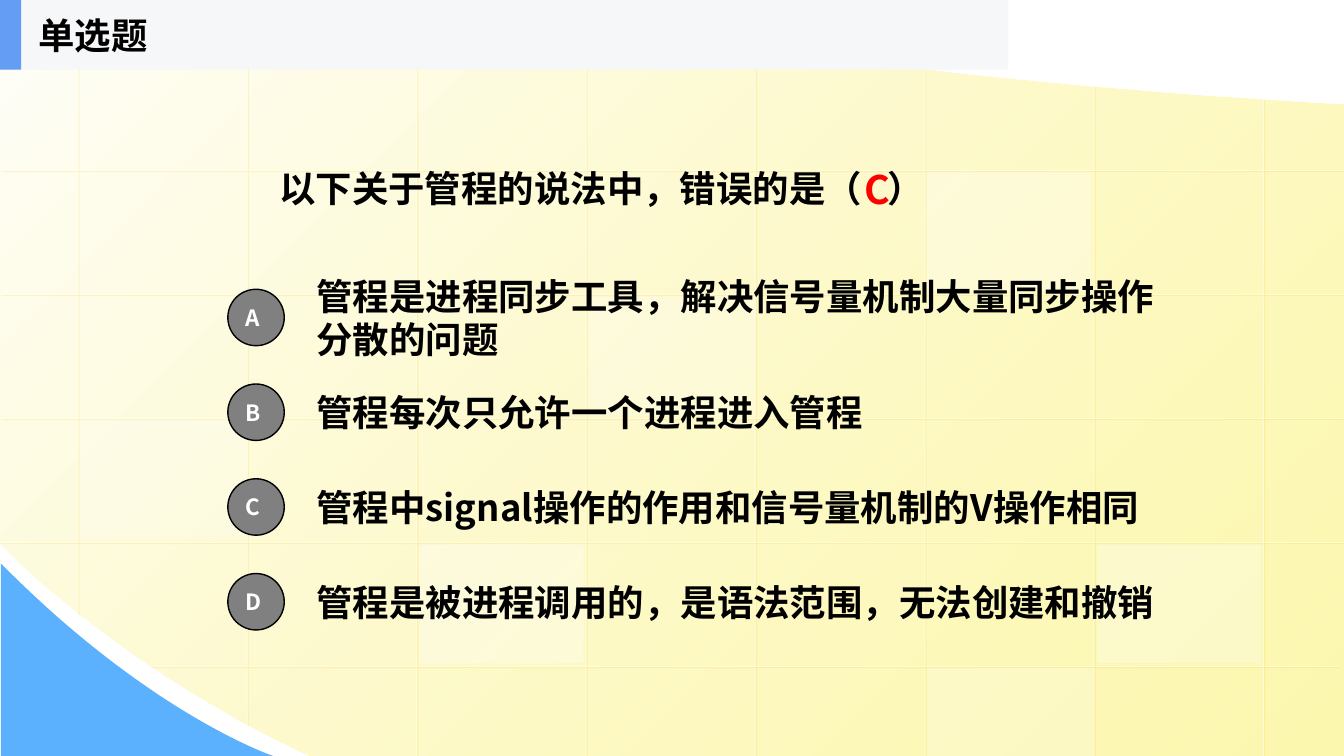
"""Build a quiz slide on monitors with four lettered choices."""
from dataclasses import dataclass
from typing import Any, Optional

from lxml.etree import SubElement as Sub
from pptx import Presentation
from pptx.dml.color import RGBColor as Rgb
from pptx.enum.shapes import MSO_CONNECTOR as Link, MSO_SHAPE as Form
from pptx.enum.text import MSO_ANCHOR as Anchor, MSO_AUTO_SIZE as Fit, PP_ALIGN as Align
from pptx.oxml.ns import qn
from pptx.util import Inches, Pt

Point = tuple[float, float]


@dataclass(frozen=True)
class Theme:
    font: str = "Noto Sans CJK SC"
    black: str = "000000"
    white: str = "FFFFFF"
    red: str = "FF0000"
    grey: str = "808080"
    cream: str = "FFFFFB"
    yellow: str = "FDF58D"
    gold: str = "FFCC00"
    sky: str = "5CB1FE"
    band: str = "F6F7F8"
    accent: str = "639EF4"
    main: int = 26
    answer: int = 28
    badge: int = 16


@dataclass(frozen=True)
class Box:
    left: float
    top: float
    width: float
    height: float

    def lengths(self) -> list[int]:
        return [Inches(v) for v in (self.left, self.top, self.width, self.height)]


@dataclass(frozen=True)
class Tile:
    box: Box
    alpha: int


@dataclass(frozen=True)
class Choice:
    letter: str
    text: str


THEME = Theme()
TILES = [
    Tile(Box(5.84, 2.94, 1.65, 1.18), 25),
    Tile(Box(10.88, 5.4, 1.63, 1.18), 30),
    Tile(Box(0.8, 4.16, 1.65, 1.18), 20),
    Tile(Box(9.2, 6.63, 1.65, 0.87), 20),
    Tile(Box(4.15, 0, 1.65, 0.44), 40),
    Tile(Box(4.16, 5.4, 1.63, 1.18), 30),
    Tile(Box(9.19, 1.71, 1.63, 1.18), 30),
]
CHOICES = [
    Choice("A", "管程是进程同步工具，解决信号量机制大量同步操作分散的问题"),
    Choice("B", "管程每次只允许一个进程进入管程"),
    Choice("C", "管程中signal操作的作用和信号量机制的V操作相同"),
    Choice("D", "管程是被进程调用的，是语法范围，无法创建和撤销"),
]
COLUMNS = [(0, 6.09), (0, 7.19), (0, 7.5), (0, 7.5), (0.43, 7.5), (0.68, 7.5), (0.85, 7.5), (0.98, 7.5)]
ROWS = [(0, 7.57), (0, 13.33), (0, 13.33), (0, 13.33), (0, 13.33), (1.48, 13.29)]


def fade(node: Any, percent: int) -> None:
    """Make the last colour inside a node partly transparent."""
    color = list(node.iter(qn("a:srgbClr")))[-1]
    Sub(color, qn("a:alpha"), val=str(percent * 1000))


def curve(a: Point, b: Point, c: Point, d: Point, steps: int = 40) -> list[Point]:
    """Sample a cubic curve."""
    points = []
    for i in range(steps + 1):
        t = i / steps
        u = 1 - t
        parts = (u ** 3, 3 * u * u * t, 3 * u * t * t, t ** 3)
        points.append(tuple(sum(k * p[n] for k, p in zip(parts, (a, b, c, d))) for n in (0, 1)))
    return points


def outline(slide: Any, points: list[Point]) -> Any:
    """Draw a closed shape without a border."""
    spots = [(Inches(x), Inches(y)) for x, y in points]
    pen = slide.shapes.build_freeform(*spots[0])
    pen.add_line_segments(spots[1:], close=True)
    shape = pen.convert_to_shape()
    shape.shadow.inherit = False
    shape.line.fill.background()
    return shape


def preset(slide: Any, form: Form, box: Box, fill: str, edge: Optional[str] = None) -> Any:
    """Draw a filled preset shape."""
    shape = slide.shapes.add_shape(form, *box.lengths())
    shape.shadow.inherit = False
    shape.fill.solid()
    shape.fill.fore_color.rgb = Rgb.from_string(fill)
    if edge:
        shape.line.color.rgb = Rgb.from_string(edge)
        shape.line.width = Pt(1)
    else:
        shape.line.fill.background()
    return shape


def rule(slide: Any, start: Point, end: Point) -> None:
    """Draw a faint grid line with a gold shadow."""
    ends = [Inches(v) for v in (*start, *end)]
    line = slide.shapes.add_connector(Link.STRAIGHT, *ends)
    line.line.color.rgb = Rgb.from_string(THEME.white)
    line.line.width = Pt(0.75)
    fade(line.element, 50)
    effect = Sub(line.element.spPr, qn("a:effectLst"))
    glow = Sub(effect, qn("a:outerShdw"), dist=str(Pt(1.4)), dir="2700000", algn="tl", rotWithShape="0")
    Sub(glow, qn("a:srgbClr"), val=THEME.gold)
    fade(glow, 34)


def write(para: Any, text: str, size: int, color: str) -> Any:
    """Add one bold run to a paragraph."""
    run = para.add_run()
    run.text = text
    run.font.name = THEME.font
    run.font.size = Pt(size)
    run.font.bold = True
    run.font.color.rgb = Rgb.from_string(color)
    Sub(run.font._element, qn("a:ea"), typeface=THEME.font)
    return run


def frame(shape: Any, anchor: Anchor = Anchor.MIDDLE, wrap: bool = True) -> Any:
    """Set up a text frame and return its first paragraph."""
    body = shape.text_frame
    body.auto_size = Fit.NONE
    body.word_wrap = wrap
    body.vertical_anchor = anchor
    para = body.paragraphs[0]
    para.alignment = Align.LEFT
    para.space_before = Pt(0)
    return para


def place(holder: Any, box: Box) -> Any:
    """Move a placeholder and bring it to the front."""
    holder.left, holder.top, holder.width, holder.height = box.lengths()
    holder.element.getparent().append(holder.element)
    return holder


def scene(slide: Any) -> None:
    """Draw the yellow field, the blue corner, the grid and its tiles."""
    low = curve((3.07, 7.5), (1.15, 6.61), (-0.01, 5.39), (0, 5.39))
    high = curve((5.61, 0), (5.61, 0), (7.15, 0.69), (13.33, 1.04))
    field = outline(slide, [(13.33, 7.5), *low, (0, 0), *high])
    field.fill.gradient()
    field.fill.gradient_angle = 315
    for stop, color, spot in zip(field.fill.gradient_stops, (THEME.cream, THEME.yellow), (0, 1)):
        stop.color.rgb = Rgb.from_string(color)
        stop.position = spot
    fade(field.element.spPr, 70)
    corner = outline(slide, [(0.01, 7.5), *curve((2.71, 7.5), (2.71, 7.5), (1.49, 7.09), (0.01, 5.59))])
    corner.fill.solid()
    corner.fill.fore_color.rgb = Rgb.from_string(THEME.sky)
    for i, (top, bottom) in enumerate(COLUMNS):
        rule(slide, (0.77 + 1.68 * i, top), (0.77 + 1.68 * i, bottom))
    for i, (left, right) in enumerate(ROWS):
        rule(slide, (right, 0.46 + 1.23 * i), (left, 0.46 + 1.23 * i))
    for tile in TILES:
        fade(preset(slide, Form.RECTANGLE, tile.box, THEME.white).element.spPr, tile.alpha)


def quiz(slide: Any) -> None:
    """Write the question, the choices, the heading and the answer."""
    para = frame(place(slide.placeholders[1], Box(2.67, 0.69, 8, 2.34)))
    props = para._p.get_or_add_pPr()
    props.set("marL", "0")
    props.set("indent", "0")
    Sub(props, qn("a:buNone"))
    write(para, "以下关于管程的说法中，错误的是（", THEME.main, THEME.black)
    gap = write(para, " ", THEME.main, THEME.black)
    gap.font._element.set("spc", "1160")
    write(para, "）", THEME.main, THEME.black)
    for i, choice in enumerate(CHOICES):
        top = 2.8 + 0.94 * i
        label = slide.shapes.add_textbox(*Box(3.04, top, 8.59, 0.7).lengths())
        write(frame(label), choice.text, THEME.main, THEME.black)
        badge = preset(slide, Form.OVAL, Box(2.26, top + 0.07, 0.56, 0.56), THEME.grey, THEME.black)
        badge.text_frame.margin_right = 0
        write(frame(badge), choice.letter, THEME.badge, THEME.white)
    preset(slide, Form.RECTANGLE, Box(0, 0, 10, 0.69), THEME.band)
    preset(slide, Form.RECTANGLE, Box(0, 0, 0.21, 0.69), THEME.accent)
    title = place(slide.shapes.title, Box(0.28, 0, 2.08, 0.69))
    write(frame(title, wrap=False), "单选题", THEME.main, THEME.black)
    answer = slide.shapes.add_textbox(*Box(8.48, 1.59, 0.71, 0.57).lengths())
    write(frame(answer, Anchor.TOP), "C", THEME.answer, THEME.red)


def main() -> None:
    """Build and save the deck."""
    deck = Presentation()
    deck.slide_width, deck.slide_height = Inches(13.33), Inches(7.5)
    slide = deck.slides.add_slide(deck.slide_layouts[1])
    scene(slide)
    quiz(slide)
    deck.save("out.pptx")


if __name__ == "__main__":
    main()
